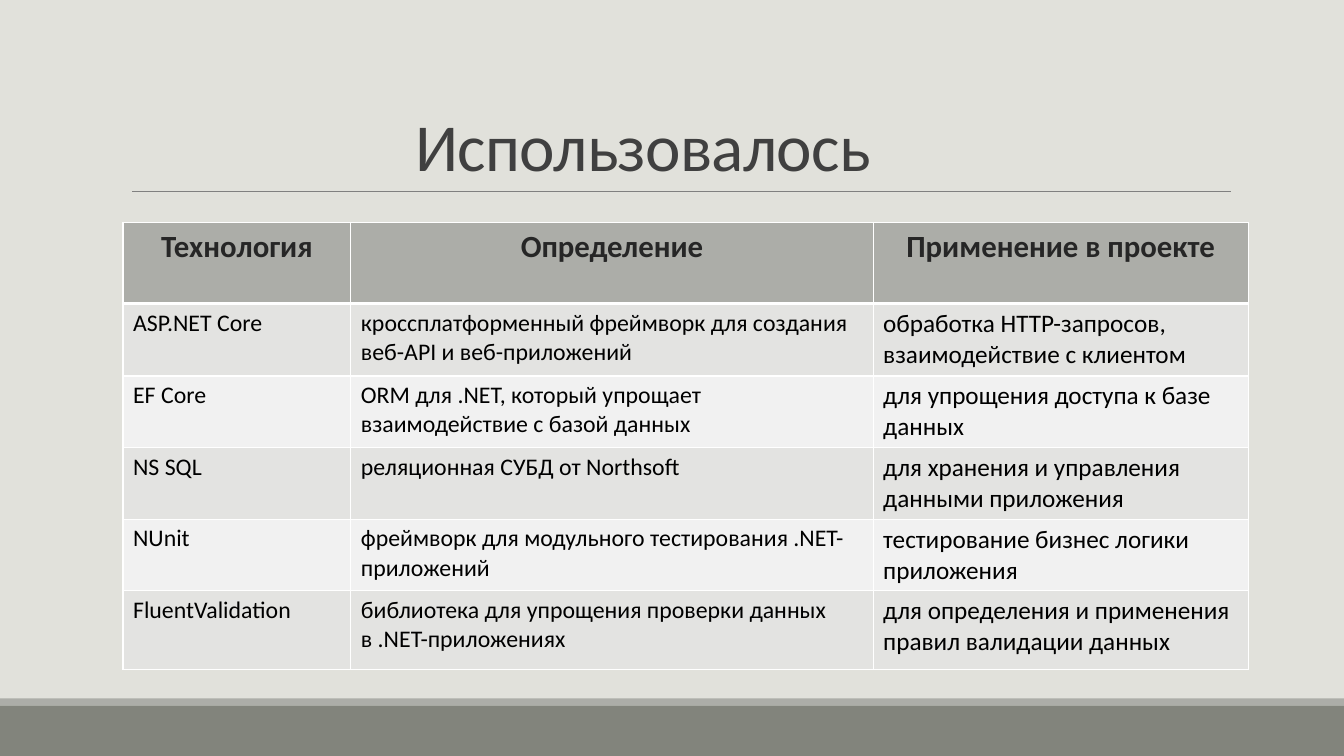
import dataclasses

import lxml.etree
import pptx
import pptx.dml.color
import pptx.enum.shapes
import pptx.enum.text
import pptx.oxml.ns
import pptx.util

Inches = pptx.util.Inches
Pt = pptx.util.Pt
PP_ALIGN = pptx.enum.text.PP_ALIGN


@dataclasses.dataclass(frozen=True)
class Theme:
    """Colours and type sizes of the slide."""
    font: str = "Calibri"
    background: str = "E1E1DB"
    footer: str = "82847C"
    accent: str = "ACADA8"
    rule: str = "808080"
    border: str = "FFFFFF"
    title: str = "404040"
    heading: str = "262626"
    body: str = "000000"
    bands: tuple = ("E3E3E1", "F1F1F1")
    title_size: int = 48
    heading_size: int = 22
    body_sizes: tuple = (17, 17, 18)


THEME = Theme()
WIDTH, HEIGHT = 13.33, 7.5
COLUMNS = (2.26, 5.18, 3.72)
ROWS = (0.8, 0.72, 0.71, 0.71, 0.71, 0.78)
TECHNOLOGIES = (
    ("Технология", "Определение", "Применение в проекте"),
    ("ASP.NET Core", "кроссплатформенный фреймворк для создания веб-API и веб-приложений",
     "обработка HTTP-запросов, взаимодействие с клиентом"),
    ("EF Core", "ORM для .NET, который упрощает взаимодействие с базой данных",
     "для упрощения доступа к базе данных"),
    ("NS SQL", "реляционная СУБД от Northsoft",
     "для хранения и управления данными приложения"),
    ("NUnit", "фреймворк для модульного тестирования .NET-приложений",
     "тестирование бизнес логики приложения"),
    ("FluentValidation", "библиотека для упрощения проверки данных в .NET-приложениях",
     "для определения и применения правил валидации данных"),
)


def colour(value):
    """Turn a hex string into a colour."""
    return pptx.dml.color.RGBColor.from_string(value)


def apply_format(target, values):
    """Set the attributes of an object from a dict."""
    for name, value in values.items():
        setattr(target, name, value)


def paint(fill, value):
    """Give a fill one solid colour."""
    fill.solid()
    fill.fore_color.rgb = colour(value)


def write(text_frame, text, size, ink, bold=False, align=PP_ALIGN.LEFT, spacing=1.0):
    """Write one formatted paragraph and return its run."""
    paragraph = text_frame.paragraphs[0]
    apply_format(paragraph, {"alignment": align, "line_spacing": spacing})
    run = paragraph.add_run()
    run.text = text
    apply_format(run.font, {"name": THEME.font, "size": Pt(size), "bold": bold})
    run.font.color.rgb = colour(ink)
    return run


def add_footer(slide, box):
    """Draw the footer band with its thin accent strip on top."""
    left, top, width, height = box
    strip = 0.07
    for offset, depth, value in ((0, strip, THEME.accent), (strip, height - strip, THEME.footer)):
        band = slide.shapes.add_shape(
            pptx.enum.shapes.MSO_SHAPE.RECTANGLE,
            Inches(left), Inches(top + offset), Inches(width), Inches(depth))
        band.shadow.inherit = False
        band.line.fill.background()
        paint(band.fill, value)


def add_title(slide, text, box):
    """Place the slide title at the bottom of its box."""
    title = slide.shapes.title
    apply_format(title, dict(zip(("left", "top", "width", "height"), map(Inches, box))))
    apply_format(title.text_frame, {
        "word_wrap": True,
        "auto_size": pptx.enum.text.MSO_AUTO_SIZE.NONE,
        "vertical_anchor": pptx.enum.text.MSO_ANCHOR.BOTTOM,
    })
    run = write(title.text_frame, text, THEME.title_size, THEME.title,
                align=PP_ALIGN.CENTER, spacing=0.85)
    run.font._element.set("spc", "-50")


def add_rule(slide, left, top, width):
    """Draw the thin rule under the title."""
    rule = slide.shapes.add_connector(
        pptx.enum.shapes.MSO_CONNECTOR.STRAIGHT,
        Inches(left), Inches(top), Inches(left + width), Inches(top))
    rule.line.width = Pt(0.5)
    rule.line.color.rgb = colour(THEME.rule)
    properties = rule._element.spPr
    lxml.etree.SubElement(properties, pptx.oxml.ns.qn("a:effectLst"))


def add_borders(cell, widths):
    """Draw the left, right, top and bottom borders of a cell."""
    properties = cell._tc.get_or_add_tcPr()
    for side, width in zip("LRTB", widths):
        line = lxml.etree.SubElement(
            properties, pptx.oxml.ns.qn(f"a:ln{side}"), w=str(Pt(width)))
        fill = lxml.etree.SubElement(line, pptx.oxml.ns.qn("a:solidFill"))
        lxml.etree.SubElement(fill, pptx.oxml.ns.qn("a:srgbClr"), val=THEME.border)


def add_technology_table(slide, left, top):
    """Build the table of technologies from its column and row sizes."""
    table = slide.shapes.add_table(
        len(ROWS), len(COLUMNS), Inches(left), Inches(top),
        Inches(sum(COLUMNS)), Inches(sum(ROWS))).table
    for column, width in zip(table.columns, COLUMNS):
        column.width = Inches(width)
    for index, (row, height) in enumerate(zip(table.rows, ROWS)):
        row.height = Inches(height)
        header = index == 0
        borders = (1, 1, 3 if index == 1 else 1, 3 if header else 1)
        for cell, text, size in zip(row.cells, TECHNOLOGIES[index], THEME.body_sizes):
            add_borders(cell, borders)
            if header:
                paint(cell.fill, THEME.accent)
                write(cell.text_frame, text, THEME.heading_size, THEME.heading,
                      bold=True, align=PP_ALIGN.CENTER)
            else:
                paint(cell.fill, THEME.bands[(index - 1) % 2])
                write(cell.text_frame, text, size, THEME.body)


def main():
    """Build and save the presentation."""
    presentation = pptx.Presentation()
    apply_format(presentation, {"slide_width": Inches(WIDTH), "slide_height": Inches(HEIGHT)})
    slide = presentation.slides.add_slide(presentation.slide_layouts.get_by_name("Title Only"))
    paint(slide.background.fill, THEME.background)
    add_footer(slide, (0, 6.93, WIDTH, HEIGHT - 6.93))
    add_rule(slide, 1.31, 1.9, 10.9)
    add_title(slide, "Использовалось", (0.88, 0.3, 11, 1.59))
    add_technology_table(slide, 1.22, 2.21)
    presentation.save("out.pptx")


if __name__ == "__main__":
    main()
